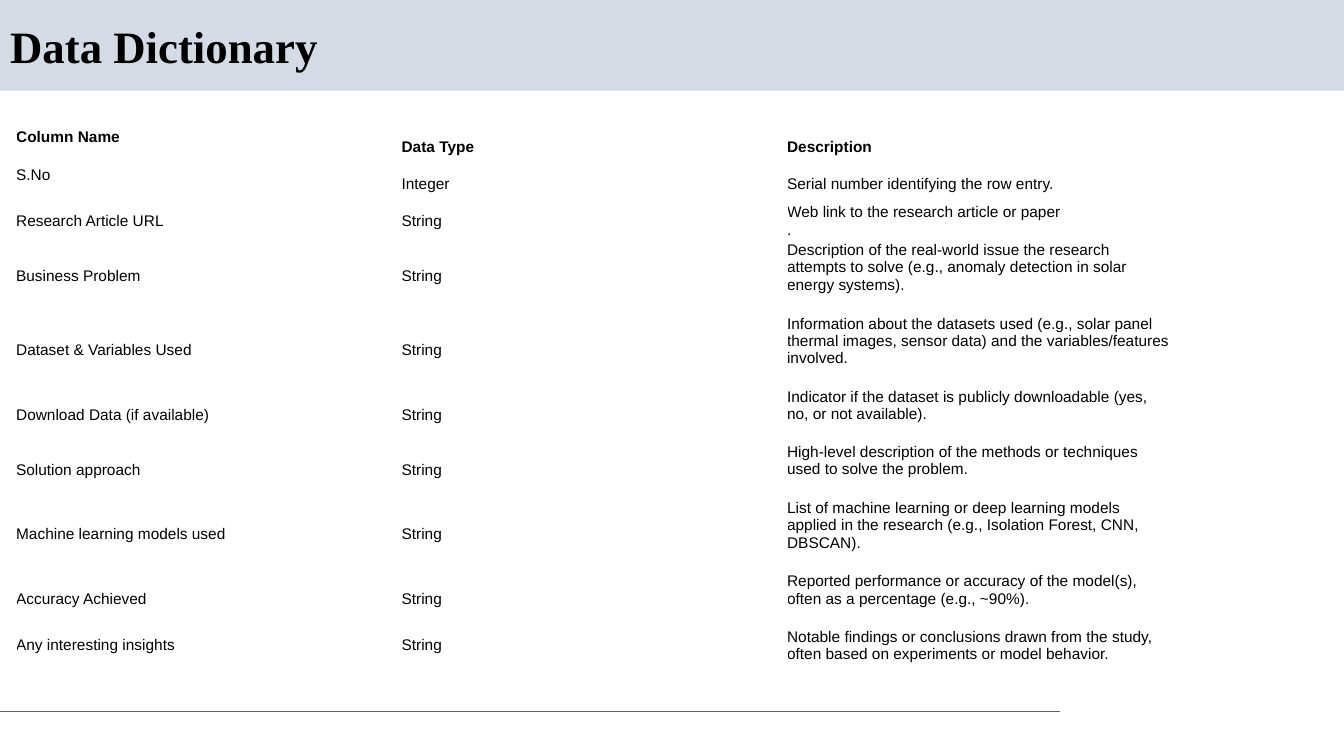
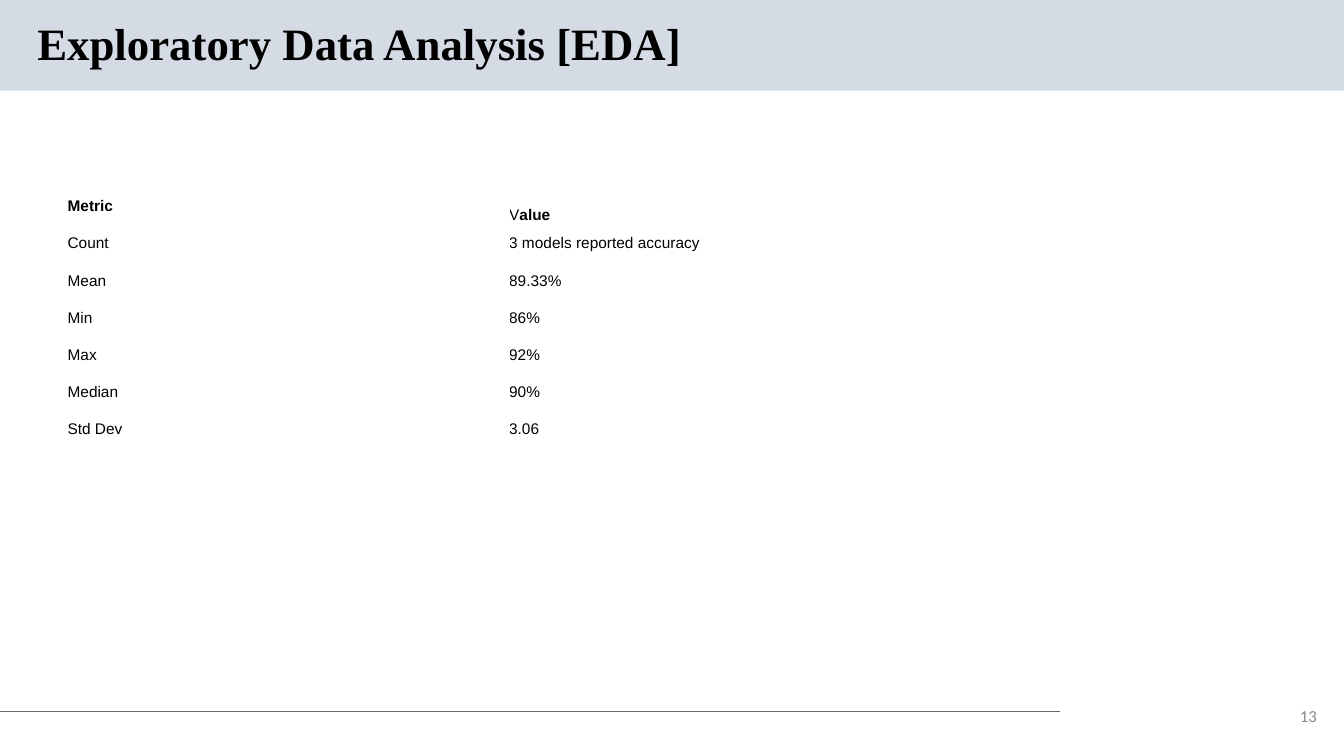
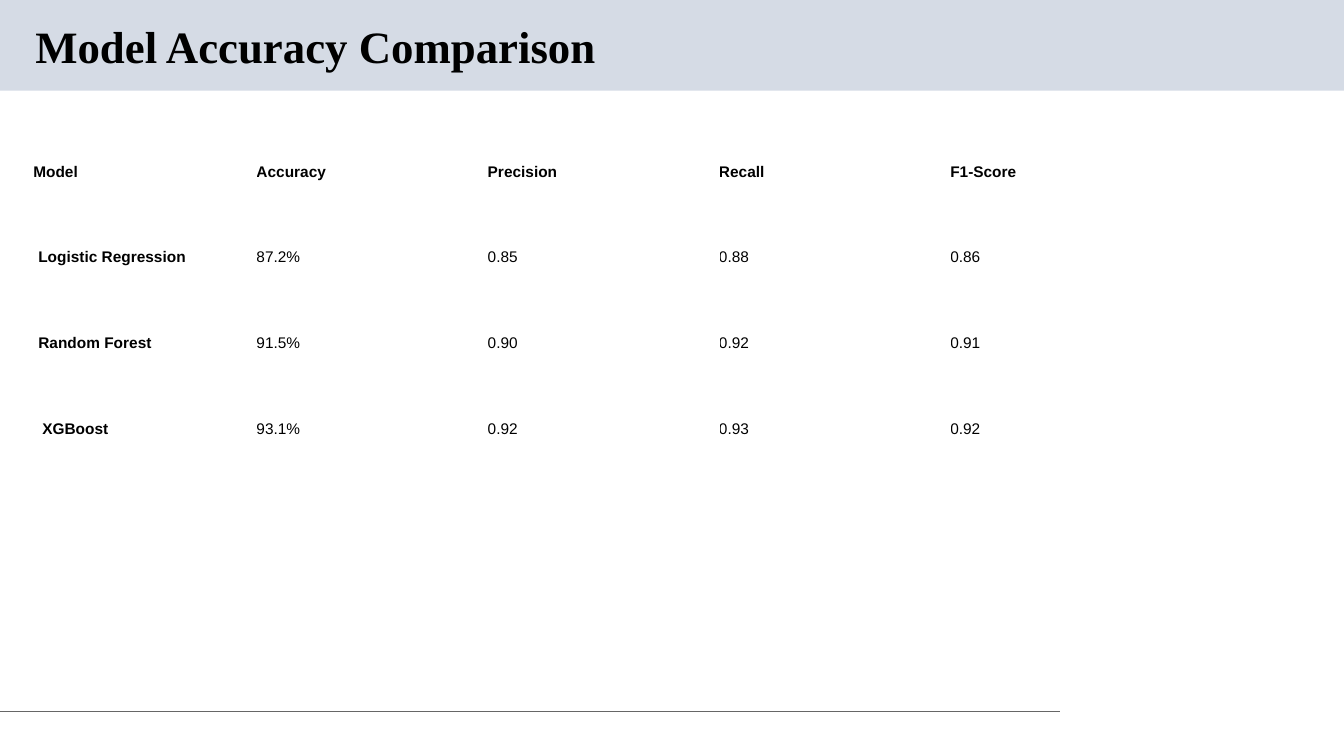
from lxml import etree
from pptx import Presentation
from pptx.dml.color import RGBColor
from pptx.enum.shapes import MSO_CONNECTOR, MSO_SHAPE
from pptx.enum.text import MSO_ANCHOR, PP_ALIGN
from pptx.oxml.ns import qn
from pptx.util import Inches, Pt

RECTANGLE = MSO_SHAPE.RECTANGLE
STRAIGHT = MSO_CONNECTOR.STRAIGHT
MIDDLE = MSO_ANCHOR.MIDDLE
LEFT, RIGHT = PP_ALIGN.LEFT, PP_ALIGN.RIGHT

COLORS = {"band": "D5DBE5", "rule": "666666", "text": "000000", "number": "888888"}
TITLE_ONLY = 5
SLIDE_WIDTH, SLIDE_HEIGHT = 13.33, 7.5
LINE = 0.18  # height of one line of table text
ROW = 0.37

DICTIONARY = [
    ("Column Name", "Data Type", "Description"),
    ("S.No", "Integer", "Serial number identifying the row entry."),
    ("Research Article URL", "String", "Web link to the research article or paper\n."),
    ("Business Problem", "String",
     "Description of the real-world issue the research attempts to solve "
     "(e.g., anomaly detection in solar energy systems)."),
    ("Dataset & Variables Used", "String",
     "Information about the datasets used (e.g., solar panel thermal images, "
     "sensor data) and the variables/features involved."),
    ("Download Data (if available)", "String",
     "Indicator if the dataset is publicly downloadable (yes, no, or not available)."),
    ("Solution approach", "String",
     "High-level description of the methods or techniques used to solve the problem."),
    ("Machine learning models used", "String",
     "List of machine learning or deep learning models applied in the research "
     "(e.g., Isolation Forest, CNN, DBSCAN)."),
    ("Accuracy Achieved", "String",
     "Reported performance or accuracy of the model(s), often as a percentage "
     "(e.g., ~90%)."),
    ("Any interesting insights", "String",
     "Notable findings or conclusions drawn from the study, often based on "
     "experiments or model behavior."),
]
DICTIONARY_HEIGHTS = [ROW] * 3 + [0.73, 0.73, 0.55, 0.55, 0.73, 0.55, ROW]

METRICS = [
    ("Metric", "Value"),
    ("Count", "3 models reported accuracy"),
    ("Mean", "89.33%"),
    ("Min", "86%"),
    ("Max", "92%"),
    ("Median", "90%"),
    ("Std Dev", "3.06"),
]

SCORES = [
    ("Model", "Accuracy", "Precision", "Recall", "F1-Score"),
    ("Logistic Regression", "87.2%", "0.85", "0.88", "0.86"),
    ("Random Forest", "91.5%", "0.90", "0.92", "0.91"),
    ("XGBoost", "93.1%", "0.92", "0.93", "0.92"),
]
MODEL_INDENTS = [0.08, 0.13, 0.13, 0.17]


def color(name):
    return RGBColor.from_string(COLORS[name])


def style_font(font, name, size, color_name="text", bold=False):
    font.name = name
    font.size = Pt(size)
    font.bold = bold
    font.color.rgb = color(color_name)


def decorate_layout(page):
    """Put the title band and the footer rule on the layout of the page, behind its title."""
    band = page.shapes.add_shape(RECTANGLE, 0, 0, Inches(SLIDE_WIDTH), Inches(0.9))
    band.shadow.inherit = False
    band.fill.solid()
    band.fill.fore_color.rgb = color("band")
    band.line.fill.background()
    rule = page.shapes.add_connector(STRAIGHT, 0, Inches(7.06), Inches(10.51), Inches(7.06))
    rule.line.color.rgb = color("rule")
    rule.line.width = Pt(0.75)
    etree.SubElement(rule.element.spPr, qn("a:effectLst"))
    layout_title = page.slide_layout.placeholders[0].element
    for shape in (band, rule):
        layout_title.addprevious(shape.element)


def add_page(deck, title, left, top, width):
    page = deck.slides.add_slide(deck.slide_layouts[TITLE_ONLY])
    box = page.shapes.title
    box.left, box.top = Inches(left), Inches(top)
    box.width, box.height = Inches(width), Inches(0.59)
    box.text_frame.text = title
    box.text_frame.vertical_anchor = MIDDLE
    para = box.text_frame.paragraphs[0]
    para.alignment = LEFT
    para.line_spacing = 0.9
    style_font(para.font, "Times New Roman", 32, bold=True)
    return page


def add_page_number(page, number):
    box = page.shapes.add_textbox(Inches(12.73), Inches(6.94), Inches(0.43), Inches(0.32))
    frame = box.text_frame
    frame.word_wrap = True
    frame.vertical_anchor = MIDDLE
    frame.text = number
    para = frame.paragraphs[0]
    para.alignment = RIGHT
    style_font(para.font, "Calibri", 12, "number")


def add_plain_table(page, rows, left, top, width, heights):
    """Add a table without fills or insets whose first row is bold."""
    columns = len(rows[0])
    table = page.shapes.add_table(len(rows), columns, Inches(left), Inches(top),
                                  Inches(width), Inches(sum(heights))).table
    table.first_row = table.horz_banding = False
    for r, texts in enumerate(rows):
        table.rows[r].height = Inches(heights[r])
        for c, text in enumerate(texts):
            cell = table.cell(r, c)
            cell.fill.background()
            cell.margin_left = cell.margin_right = 0
            cell.margin_top = cell.margin_bottom = 0
            cell.vertical_anchor = MIDDLE
            cell.text = text
            for para in cell.text_frame.paragraphs:
                style_font(para.font, "Arial", 11, bold=r == 0)
    return table


def raise_text(table, places):
    """Lift the text of the cells by half a line."""
    for r, c in places:
        table.cell(r, c).margin_bottom = Inches(LINE)


def build_dictionary(deck):
    page = add_page(deck, "Data Dictionary", 0, 0.19, 11.5)
    decorate_layout(page)
    table = add_plain_table(page, DICTIONARY, 0.16, 1.27, 11.47, DICTIONARY_HEIGHTS)
    raise_text(table, [(0, 0), (1, 0)] + [(r, 2) for r in range(3, 9)])


def build_metrics(deck):
    page = add_page(deck, "Exploratory Data Analysis [EDA]", 0.27, 0.16, 10.11)
    add_page_number(page, "13")
    last = len(METRICS) - 1
    table = add_plain_table(page, METRICS, 0.67, 1.95, 8.76, [ROW] * last + [LINE])
    raise_text(table, [(0, 0)] + [(r, c) for r in range(1, last) for c in range(2)])
    value = table.cell(0, 1).text_frame.paragraphs[0]
    value.runs[0].text = "V"
    value.runs[0].font.bold = False
    value.add_run().text = "alue"


def build_scores(deck):
    page = add_page(deck, "Model Accuracy Comparison", 0.25, 0.19, 11.5)
    table = add_plain_table(page, SCORES, 0.25, 1.28, 11.47, [0.85] * len(SCORES))
    for r, indent in enumerate(MODEL_INDENTS):
        cell = table.cell(r, 0)
        cell.margin_left = Inches(indent)
        cell.text_frame.paragraphs[0].font.bold = True


def main():
    deck = Presentation()
    deck.slide_width, deck.slide_height = Inches(SLIDE_WIDTH), Inches(SLIDE_HEIGHT)
    build_dictionary(deck)
    build_metrics(deck)
    build_scores(deck)
    deck.save("out.pptx")


if __name__ == "__main__":
    main()
